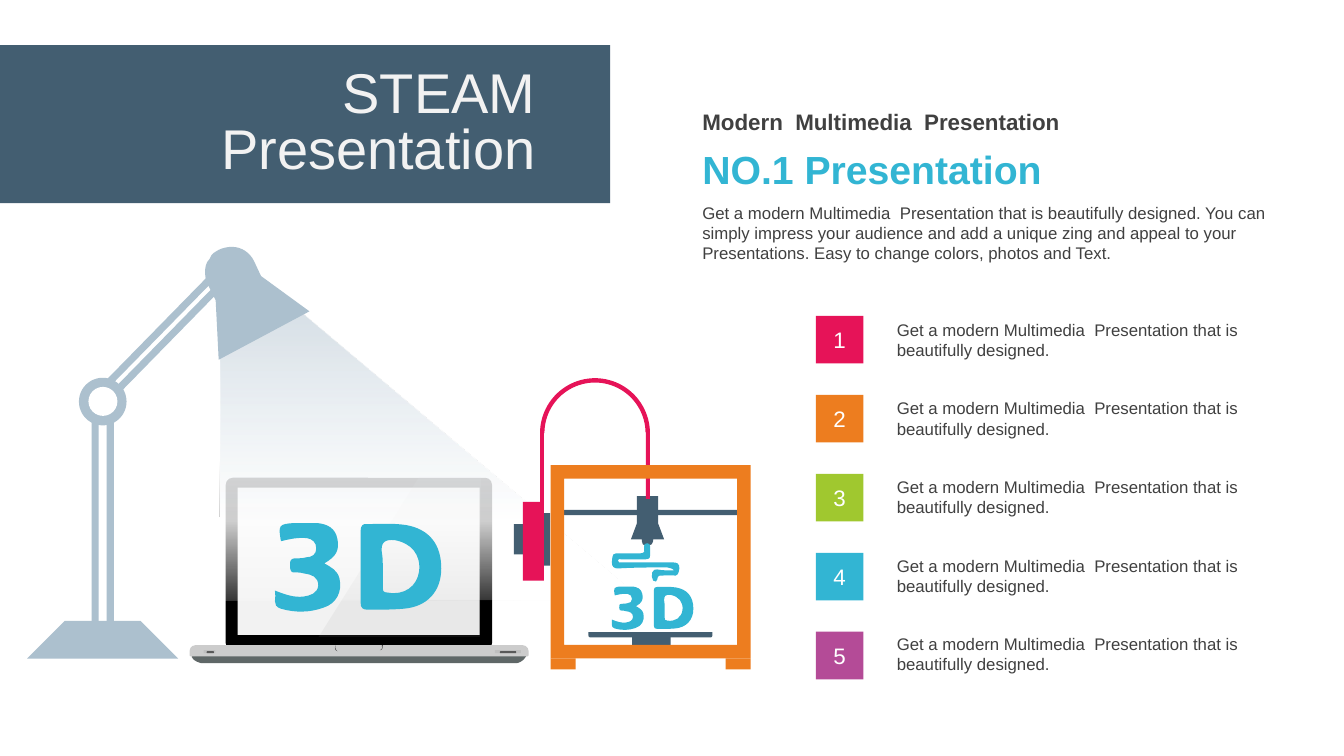
from lxml.etree import SubElement
from pptx import Presentation
from pptx.dml.color import RGBColor
from pptx.enum.shapes import MSO_SHAPE as SHAPE
from pptx.enum.text import MSO_ANCHOR as ANCHOR, MSO_AUTO_SIZE as AUTO, PP_ALIGN as ALIGN
from pptx.oxml.ns import qn
from pptx.util import Cm, Pt

SLATE, STEEL, WHITE, PALE = "435E71", "ACC0CE", "FFFFFF", "F2F2F2"
PINK, ORANGE, GREEN, CYAN, PURPLE = "E61358", "ED7D1F", "A0C82F", "32B5D3", "B44B97"
INK = "404040"
UNIT = 0.0254  # centimetres per outline unit

# Outlines: a pair is a corner, six numbers are a Bézier curve.
DIGIT_3 = [(0, 67), (10, 71, 19, 74, 28, 73), (35, 72, 42, 70, 43, 62), (43, 53, 36, 51, 29, 50),
           (26, 49, 23, 49, 21, 49), (16, 50, 15, 47, 15, 43), (15, 39, 14, 35, 21, 35),
           (24, 35, 28, 35, 31, 34), (37, 34, 41, 31, 41, 25), (41, 19, 37, 16, 32, 15),
           (23, 14, 14, 16, 6, 18), (3, 2, 4, 1, 19, 0), (26, 0, 34, 0, 42, 0),
           (52, 1, 60, 5, 62, 16), (64, 27, 61, 33, 49, 40), (56, 44, 62, 47, 64, 55),
           (67, 68, 61, 80, 48, 84), (34, 89, 20, 89, 6, 85), (-4, 82, 2, 74, 0, 67)]
LETTER_D = [(130, 2), (117, 0, 105, 1, 92, 1), (87, 0, 85, 3, 85, 8), (85, 79),
            (85, 84, 87, 86, 92, 86), (104, 86, 116, 86, 128, 85), (151, 83, 165, 68, 165, 45),
            (165, 21, 153, 6, 130, 2)]
D_HOLE = [(143, 48), (141, 63, 128, 72, 112, 69), (107, 69, 107, 67, 107, 63), (107, 43),
          (107, 38, 107, 34, 106, 29), (105, 19, 109, 16, 119, 17), (135, 20, 145, 31, 143, 48)]
FILAMENT = [(62, 27), (59, 24, 57, 25, 55, 24), (39, 24, 23, 24, 6, 25), (2, 25, 0, 23, 0, 19),
            (1, 10, 0, 10, 9, 10), (28, 10), (31, 10, 33, 9, 32, 6), (32, 3),
            (32, 1, 33, 0, 35, 0), (37, 0, 38, 1, 38, 3), (38, 12), (38, 16, 35, 16, 33, 16),
            (10, 16), (8, 16, 6, 15, 6, 17), (6, 20, 8, 19, 10, 19), (60, 19),
            (65, 19, 67, 20, 67, 25), (66, 30, 66, 33, 60, 32), (52, 32),
            (49, 32, 45, 31, 45, 36), (45, 38, 43, 39, 41, 37), (39, 35, 40, 32, 40, 29),
            (41, 26, 43, 26, 45, 26), (50, 27, 55, 27, 62, 27)]
NOZZLE = [(6, 0), (27, 0), (27, 27), (33, 43), (22, 43), (22, 45), (22, 47, 20, 49, 18, 49),
          (14, 49), (12, 49, 11, 47, 11, 45), (11, 43), (0, 43), (6, 27)]
SPOOL_MOUNT = [(24, 0), (36, 0), (36, 52), (24, 52), (24, 41), (0, 41), (0, 11), (24, 11)]
LAMP_HEAD = [(17, 3), (21, 1, 26, 0, 30, 0), (40, 0, 48, 6, 52, 14), (59, 29), (107, 64),
             (17, 112), (14, 53), (5, 35), (5, 36, 0, 19, 8, 12), (10, 6, 14, 5, 17, 3)]
BEAM = [(1, 46), (2, 128, 0, 210, 0, 292), (418, 290), (74, 0)]
LAPTOP_BOTTOM = [(325, 11), (325, 11, 331, 10, 334, 4), (334, 3, 333, 1, 331, 1), (9, 2),
                 (5, 2), (3, 2, 2, 3, 2, 5), (4, 9, 8, 10, 11, 11)]
NOTCH_LEFT = [(1, 0), (1, 0, 0, 4, 3, 6), (-1, 5, 1, 0, 1, 0)]
NOTCH_RIGHT = [(47, 0), (48, 0), (48, 5, 46, 5, 45, 5), (46, 5, 48, 4, 47, 0)]
GLARE = [(100, 0), (161, 0), (160, 159), (0, 159)]


def color(value):
    return RGBColor.from_string(value)


def paint(sp, fill, alpha=None):
    sp.shadow.inherit = False
    sp.line.fill.background()
    sp.fill.solid()
    sp.fill.fore_color.rgb = color(fill)
    if alpha is not None:
        clr = sp._element.spPr.find(qn("a:solidFill"))[0]
        SubElement(clr, qn("a:alpha"), val=str(alpha * 1000))


def paint_upward(sp, stops):
    """Fill with a gradient from bottom to top; stops are (percent, colour, opacity)."""
    sp.fill.gradient()
    grad = sp._element.spPr.find(qn("a:gradFill"))
    for child in list(grad):
        grad.remove(child)
    stop_list = SubElement(grad, qn("a:gsLst"))
    for position, value, alpha in stops:
        gs = SubElement(stop_list, qn("a:gs"), pos=str(position * 1000))
        clr = SubElement(gs, qn("a:srgbClr"), val=value)
        SubElement(clr, qn("a:alpha"), val=str(alpha * 1000))
    SubElement(grad, qn("a:lin"), ang="16200000", scaled="0")


def shape(shapes, kind, box, fill, adjust=(), rotation=0):
    sp = shapes.add_shape(kind, *map(Cm, box))
    paint(sp, fill)
    for i, value in enumerate(adjust):
        sp.adjustments[i] = value
    sp.rotation = rotation
    return sp


def bend(sp, contours):
    """Turn the straight segments that stand for curves into Bézier segments."""
    segments = [seg for contour in contours for seg in contour]
    min_x, min_y = (min(seg[axis] for seg in segments) for axis in (-2, -1))
    drawn = [el for el in sp._element.iter(qn("a:moveTo"), qn("a:lnTo"))]
    starts = {id(contour[0]) for contour in contours}
    for el, seg in zip(drawn, segments):
        if len(seg) == 2 or id(seg) in starts:
            continue
        el.tag = qn("a:cubicBezTo")
        for child in list(el):
            el.remove(child)
        for x, y in zip(seg[::2], seg[1::2]):
            SubElement(el, qn("a:pt"), x=str(x - min_x), y=str(y - min_y))


def outline(shapes, left, top, contours, fill, unit=UNIT, alpha=None):
    first, *others = [[seg[-2:] for seg in contour] for contour in contours]
    builder = shapes.build_freeform(*first[0], scale=Cm(unit))
    builder.add_line_segments(first[1:])
    for points in others:
        builder.move_to(*points[0])
        builder.add_line_segments(points[1:])
    sp = builder.convert_to_shape(Cm(left), Cm(top))
    # Closing adds a segment only where a contour does not end at its start.
    closed = [c if c[-1][-2:] == c[0] else c + [c[0]] for c in contours]
    bend(sp, closed if len(list(sp._element.iter(qn("a:lnTo")))) > sum(len(c) - 1 for c in contours) else contours)
    paint(sp, fill, alpha)
    return sp


def write(sp, lines, size, fill, bold=False, anchor=ANCHOR.TOP, **paragraph_format):
    tf = sp.text_frame
    tf.word_wrap = True
    tf.vertical_anchor = anchor
    for i, line in enumerate(lines):
        p = tf.paragraphs[0] if i == 0 else tf.add_paragraph()
        for name, value in paragraph_format.items():
            setattr(p, name, value)
        r = p.add_run()
        r.text = line
        for name, value in {"name": "Arial", "size": Pt(size), "bold": bold}.items():
            setattr(r.font, name, value)
        r.font.color.rgb = color(fill)
    return tf


def text(shapes, box, lines, size, fill, **options):
    tf = write(shapes.add_textbox(*map(Cm, box)), lines, size, fill, **options)
    tf.auto_size = AUTO.SHAPE_TO_FIT_TEXT
    return tf


def draw_3d(shapes, left, top, unit=UNIT):
    for contours in ([DIGIT_3], [LETTER_D, D_HOLE]):
        outline(shapes, left, top, contours, CYAN, unit)


def draw_laptop(shapes):
    outline(shapes, 4.78, 16.43, [LAPTOP_BOTTOM], "5F6767")
    shape(shapes, SHAPE.ROUNDED_RECTANGLE, (5.69, 12.04, 6.71, 4.34), "000000", [0.04])
    shape(shapes, SHAPE.RECTANGLE, (5.99, 12.29, 6.1, 3.71), PALE)
    shape(shapes, SHAPE.ROUND_2_SAME_RECTANGLE, (4.78, 16.26, 8.54, 0.28), "CCCCCC", [0.5, 0.1])
    outline(shapes, 8.43, 16.26, [NOTCH_LEFT, NOTCH_RIGHT], "4D4D4D")
    outline(shapes, 8.03, 12.01, [GLARE], "999999", alpha=10)
    for port, slot in (((5.13, 0.3), (5.21, 0.18)), ((12.47, 0.66), (12.6, 0.41))):
        for (left, width), top, height, fill in ((port, 16.38, 0.08, "BFBFBF"), (slot, 16.41, 0.05, "595959")):
            shape(shapes, SHAPE.ROUNDED_RECTANGLE, (left, top, width, height), fill, [0.28])


def draw_lamp(shapes):
    beam = outline(shapes, 5.54, 7.72, [BEAM], WHITE)
    paint_upward(beam, [(0, WHITE, 20), (27, WHITE, 80), (100, "D6DFE6", 100)])
    for left, top in ((4.04, 5.94), (4.24, 6.15)):
        shape(shapes, SHAPE.RECTANGLE, (left, top, 0.18, 4.57), STEEL, rotation=44.4)
    for left in (2.31, 2.69):
        shape(shapes, SHAPE.RECTANGLE, (left, 10.49, 0.18, 5.21), STEEL)
    shape(shapes, SHAPE.OVAL, (1.99, 9.52, 1.2, 1.2), STEEL)
    shape(shapes, SHAPE.OVAL, (2.23, 9.75, 0.73, 0.73), WHITE)
    outline(shapes, 5.08, 6.22, [LAMP_HEAD], STEEL)
    shape(shapes, SHAPE.DIAGONAL_STRIPE, (1.24, 15.25, 2.69, 2.69), STEEL, rotation=45)


def draw_printer(shapes):
    outline(shapes, 12.95, 12.93, [SPOOL_MOUNT], SLATE)
    shape(shapes, SHAPE.RECTANGLE, (14, 12.85, 4.8, 0.13), SLATE)
    outline(shapes, 15.9, 12.5, [NOZZLE], SLATE)
    shape(shapes, SHAPE.ROUND_2_SAME_RECTANGLE, (14.83, 15.93, 3.12, 0.13), SLATE, [0.33, 0], 180)
    shape(shapes, SHAPE.RECTANGLE, (15.93, 16, 0.97, 0.33), SLATE)
    shape(shapes, SHAPE.RECTANGLE, (13.18, 12.65, 0.53, 1.98), PINK)
    shape(shapes, SHAPE.BLOCK_ARC, (13.61, 9.53, 2.77, 2.77), PINK, [108, 215.45, 0.04])
    for left, height in ((13.61, 1.98), (16.28, 1.7)):
        shape(shapes, SHAPE.RECTANGLE, (left, 10.87, 0.1, height), PINK)
    outline(shapes, 15.42, 13.69, [FILAMENT], CYAN)
    draw_3d(shapes, 15.42, 14.78, UNIT * 0.49)
    shape(shapes, SHAPE.FRAME, (13.88, 11.72, 5.04, 4.87), ORANGE, [0.07])
    for left in (13.88, 18.29):
        shape(shapes, SHAPE.RECTANGLE, (left, 16.59, 0.63, 0.28), ORANGE)


def main():
    prs = Presentation()
    prs.slide_width, prs.slide_height = Cm(33.87), Cm(19.05)
    shapes = prs.slides.add_slide(prs.slide_layouts[6]).shapes

    draw_laptop(shapes.add_group_shape().shapes)
    draw_lamp(shapes.add_group_shape().shapes)
    draw_3d(shapes, 6.93, 13.18)
    draw_printer(shapes.add_group_shape().shapes)

    shape(shapes, SHAPE.RECTANGLE, (0, 1.14, 15.38, 3.98), SLATE)
    title = text(shapes, (2.9, 1.72, 10.59, 2.87), ["STEAM", "Presentation"], 40, PALE,
                 anchor=ANCHOR.MIDDLE, alignment=ALIGN.RIGHT, line_spacing=Pt(40))
    for side in ("left", "top", "right", "bottom"):
        setattr(title, f"margin_{side}", 0)

    promise = "Get a modern Multimedia  Presentation that is beautifully designed."
    text(shapes, (17.45, 2.59, 15.37, 0.94), ["Modern  Multimedia  Presentation"], 16, INK, bold=True)
    text(shapes, (17.45, 3.53, 15.37, 1.45), ["NO.1 Presentation"], 28, CYAN, bold=True)
    text(shapes, (17.45, 4.98, 15.37, 1.8),
         [promise + " You can simply impress your audience and add a unique zing and appeal to your "
          "Presentations. Easy to change colors, photos and Text."], 12, INK)

    for i, fill in enumerate((PINK, ORANGE, GREEN, CYAN, PURPLE)):
        badge = shape(shapes, SHAPE.RECTANGLE, (20.56, 7.96 + 1.99 * i, 1.2, 1.2), fill)
        write(badge, [str(i + 1)], 16, WHITE, anchor=ANCHOR.MIDDLE, alignment=ALIGN.CENTER)
        text(shapes, (22.35, 7.92 + 1.98 * i, 9.96, 1.28), [promise], 12, INK, anchor=ANCHOR.MIDDLE)

    prs.save("out.pptx")


if __name__ == "__main__":
    main()
